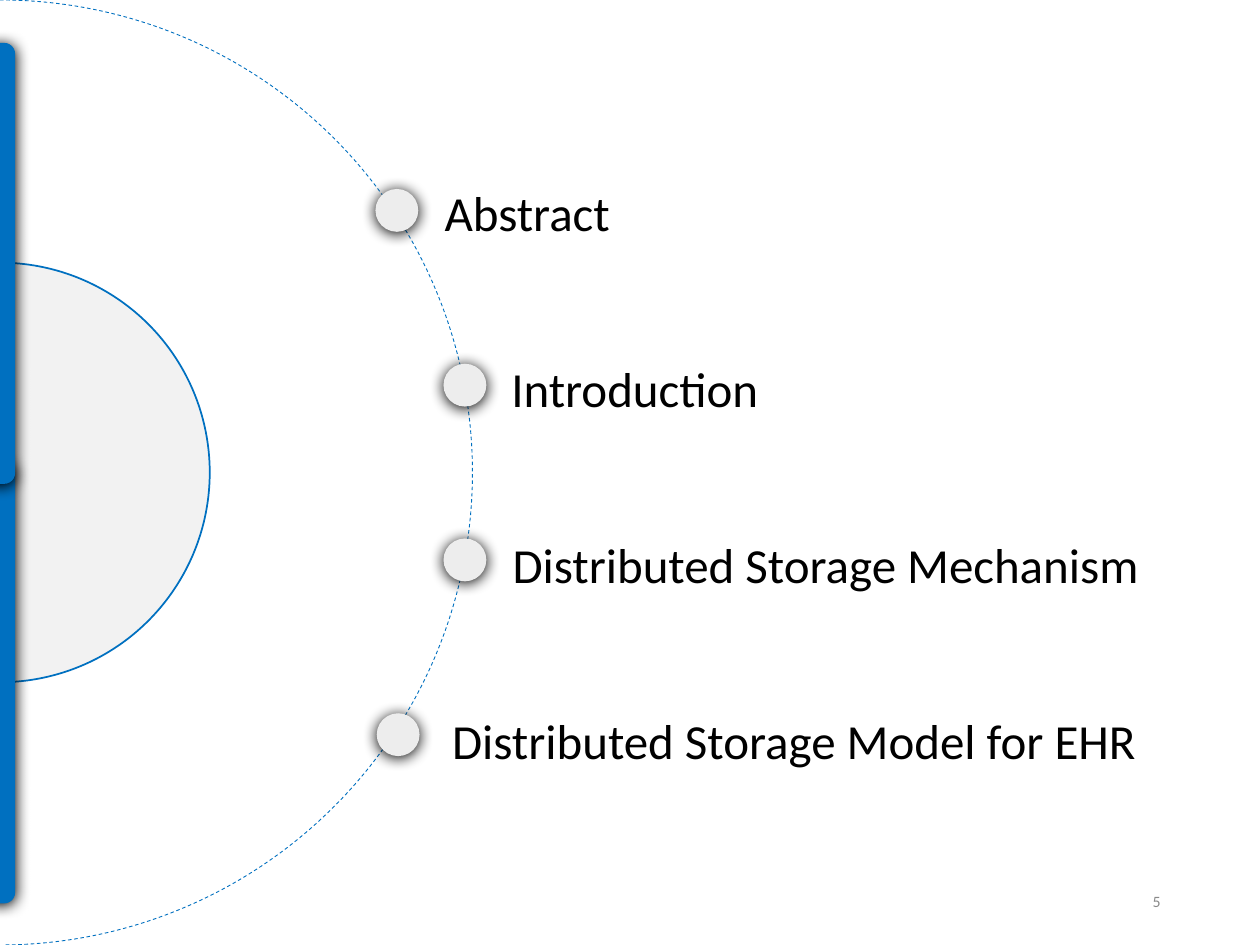
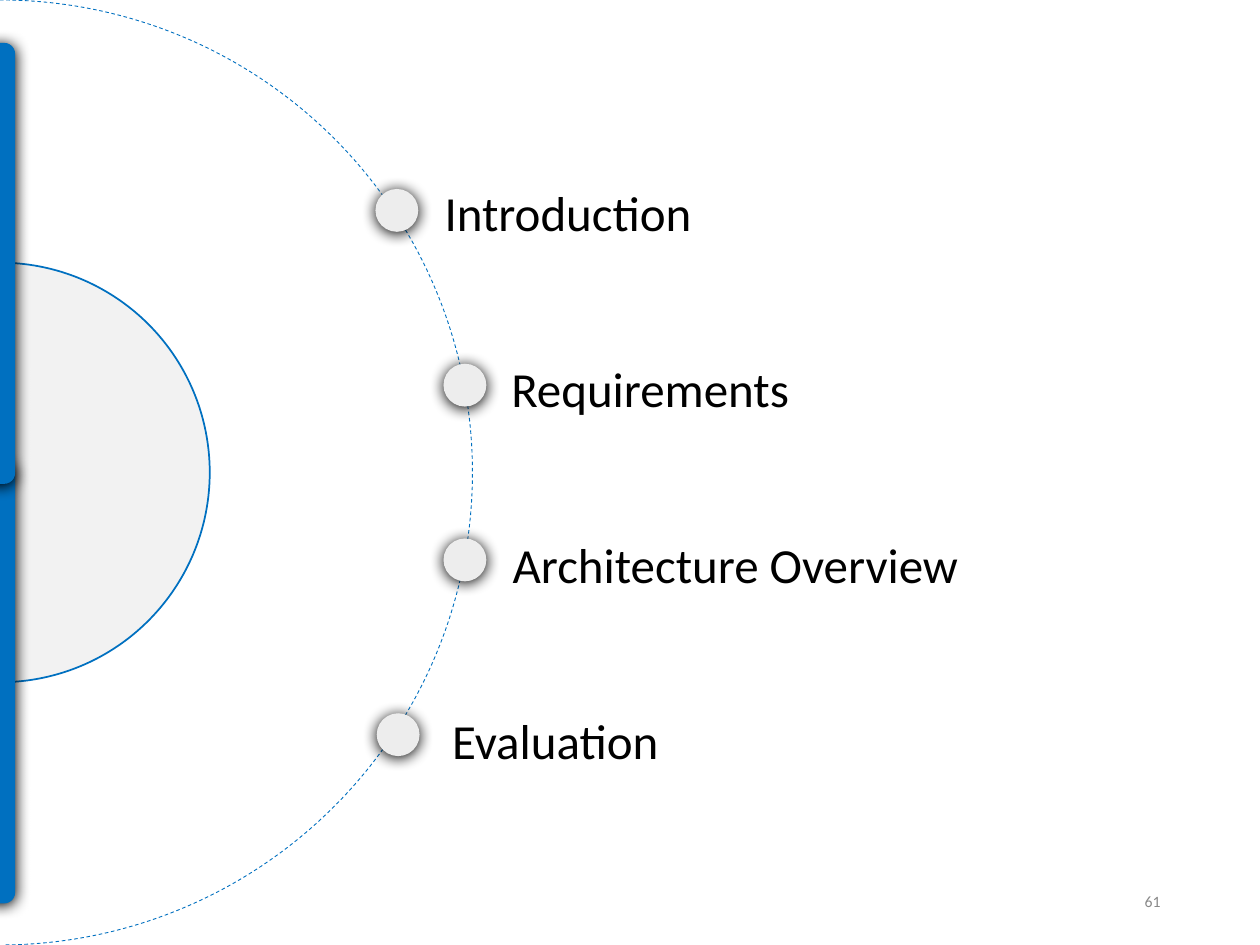
import lxml.etree
import pptx
import pptx.dml.color
import pptx.enum.dml
import pptx.enum.shapes
import pptx.enum.text
import pptx.oxml.ns
import pptx.util

Inches, Pt = pptx.util.Inches, pptx.util.Pt
RGBColor = pptx.dml.color.RGBColor
MSO_SHAPE = pptx.enum.shapes.MSO_SHAPE
PP_ALIGN = pptx.enum.text.PP_ALIGN
MSO_ANCHOR = pptx.enum.text.MSO_ANCHOR
qn = pptx.oxml.ns.qn

AGENDAS = [
    {
        "number": "5",
        "topics": [
            ("Abstract", 5.9),
            ("Introduction", 4.2),
            ("Distributed Storage Mechanism", 5.36),
            ("Distributed Storage Model for EHR", 5.84),
        ],
    },
    {
        "number": "61",
        "topics": [
            ("Introduction", 5.9),
            ("Requirements", 4.2),
            ("Architecture Overview", 5.68),
            ("Evaluation", 5.84),
        ],
    },
]

FONT = "Calibri"
WHITE = RGBColor(0xFF, 0xFF, 0xFF)
BLACK = RGBColor(0, 0, 0)
BLUE = RGBColor(0x00, 0x70, 0xC0)
DOT_GREY = RGBColor(0xED, 0xED, 0xED)
HUB_GREY = RGBColor(0xF2, 0xF2, 0xF2)
NUMBER_GREY = RGBColor(0x89, 0x89, 0x89)

WIDTH, HEIGHT = 10, 7.5
DOT_LEFTS = (2.98, 3.52, 3.52, 2.99)
LABEL_LEFTS = (3.43, 3.96, 3.97, 3.49)
DOT_TOP, DOT_PITCH, DOT_SIZE = 1.5, 1.387, 0.34
LABEL_TOP, LABEL_PITCH, LABEL_HEIGHT = 1.4, 1.397, 0.57
BAR_WIDTH, BAR_HEIGHT = 0.25, 3.5
BAR_TOPS = (3.67, 0.34)


def add_filled(slide, preset, left, top, width, height, color):
    shape = slide.shapes.add_shape(
        preset, Inches(left), Inches(top), Inches(width), Inches(height))
    shape.shadow.inherit = False
    shape.fill.solid()
    shape.fill.fore_color.rgb = color
    shape.line.fill.background()
    return shape


def add_glow_shadow(shape):
    effects = shape._element.spPr.find(qn("a:effectLst"))
    shadow = lxml.etree.SubElement(
        effects, qn("a:outerShdw"), blurRad=str(Pt(8.5)), dist=str(Pt(1)),
        dir="5400000", algn="ctr", rotWithShape="0")
    lxml.etree.SubElement(shadow, qn("a:srgbClr"), val=str(BLACK))


def add_half_circle(slide, diameter, color, line_width, end_angle):
    arc = add_filled(slide, MSO_SHAPE.ARC, -diameter / 2,
                     (HEIGHT - diameter) / 2, diameter, diameter, color)
    arc.adjustments[0] = 162
    arc.adjustments[1] = end_angle
    arc.line.color.rgb = BLUE
    arc.line.width = Pt(line_width)
    return arc


def add_text(slide, text, left, top, width, height, size, color):
    box = slide.shapes.add_textbox(
        Inches(left), Inches(top), Inches(width), Inches(height))
    box.text_frame.word_wrap = True
    paragraph = box.text_frame.paragraphs[0]
    paragraph.text = text
    paragraph.font.name = FONT
    paragraph.font.size = Pt(size)
    paragraph.font.color.rgb = color
    return box.text_frame


def add_agenda(prs, agenda):
    slide = prs.slides.add_slide(prs.slide_layouts[6])
    slide.background.fill.solid()
    slide.background.fill.fore_color.rgb = WHITE

    orbit = add_half_circle(slide, HEIGHT, WHITE, 0.5, 53.71)
    orbit.line.dash_style = pptx.enum.dml.MSO_LINE.DASH

    for row, (topic, width) in enumerate(agenda["topics"]):
        label = add_text(slide, topic, LABEL_LEFTS[row],
                         LABEL_TOP + row * LABEL_PITCH,
                         width, LABEL_HEIGHT, 28, BLACK)
        label.auto_size = pptx.enum.text.MSO_AUTO_SIZE.SHAPE_TO_FIT_TEXT

    for row, left in enumerate(DOT_LEFTS):
        dot = add_filled(slide, MSO_SHAPE.OVAL, left,
                         DOT_TOP + row * DOT_PITCH,
                         DOT_SIZE, DOT_SIZE, DOT_GREY)
        add_glow_shadow(dot)

    add_half_circle(slide, 3.33, HUB_GREY, 1, 53.6)

    for top in BAR_TOPS:
        bar = add_filled(slide, MSO_SHAPE.ROUNDED_RECTANGLE, -0.13, top,
                         BAR_WIDTH, BAR_HEIGHT, BLUE)
        bar.adjustments[0] = 0.35
        bar.rotation = 180
        add_glow_shadow(bar)

    number = add_text(slide, agenda["number"], 7.06, 6.95, 2.25, 0.4,
                      9, NUMBER_GREY)
    number.vertical_anchor = MSO_ANCHOR.MIDDLE
    number.paragraphs[0].alignment = PP_ALIGN.RIGHT


def main():
    prs = pptx.Presentation()
    prs.slide_width, prs.slide_height = Inches(WIDTH), Inches(HEIGHT)
    for agenda in AGENDAS:
        add_agenda(prs, agenda)
    prs.save("out.pptx")


if __name__ == "__main__":
    main()
